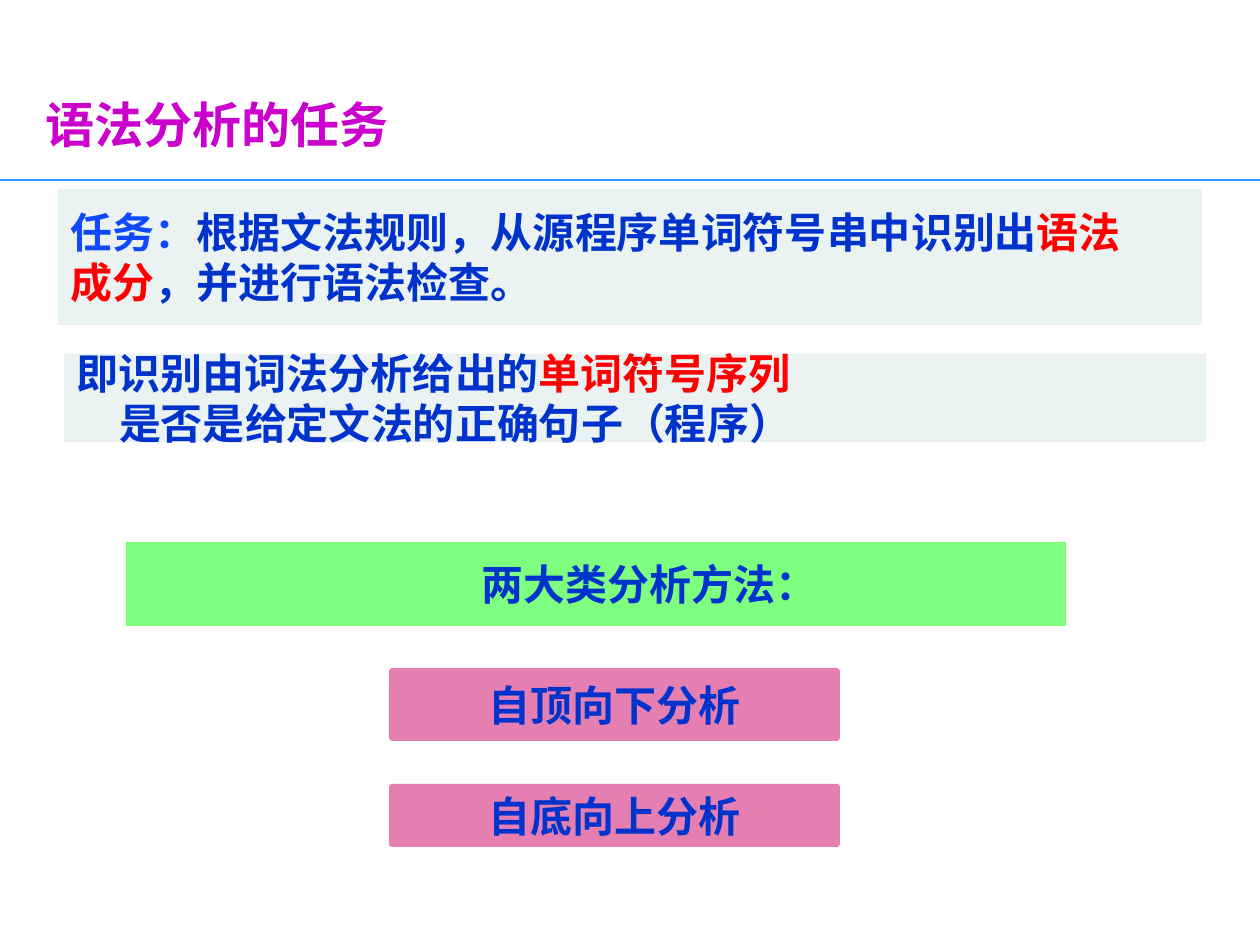
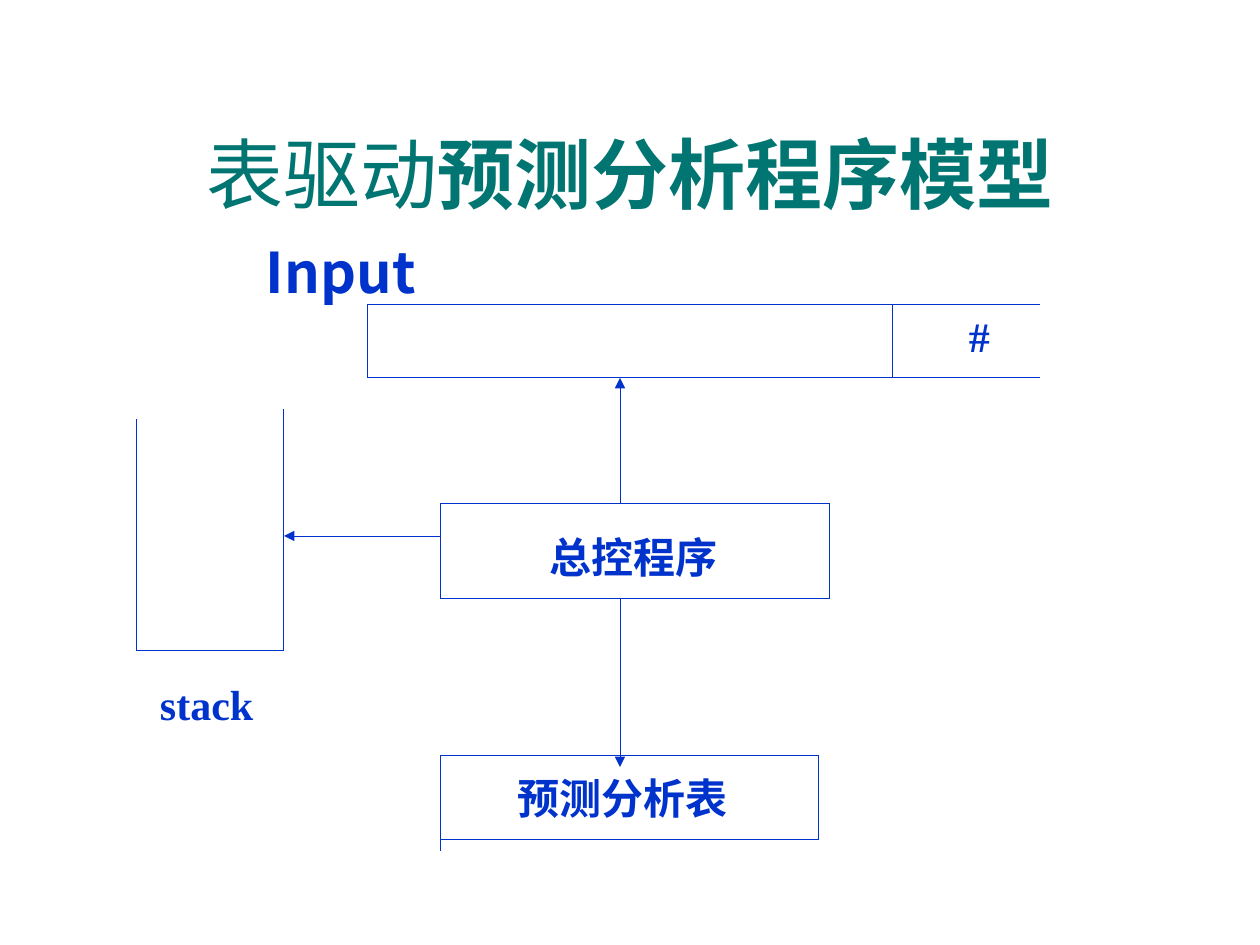
from itertools import pairwise

from lxml import etree
from pptx import Presentation
from pptx.dml.color import RGBColor
from pptx.enum import shapes, text
from pptx.oxml import ns
from pptx.util import Pt

PX = 7257  # EMU in one px, 126 px to the inch
COLORS = {"blue": "0033CC", "bright": "0F48FF", "red": "FF0000", "magenta": "CC00CC",
          "teal": "007572", "rule": "3399FF", "mist": "D9E6E6", "green": "00FF00",
          "rose": "CC0066"}
SERIF, SANS, CJK = "Times New Roman", "Arial", "Noto Sans CJK SC"
EAST_ASIAN = {SERIF: SANS, SANS: SANS, CJK: CJK}
LEFT, CENTER = text.PP_ALIGN.LEFT, text.PP_ALIGN.CENTER


def write(box, paragraphs, font=SERIF, size=24, color="blue", bold=True, align=LEFT,
          anchor=text.MSO_ANCHOR.MIDDLE, wrap=True, indents=(0,)):
    """Fill a shape with paragraphs, each a list of (text, format changes) spans."""
    frame = box.text_frame
    frame.auto_size = text.MSO_AUTO_SIZE.NONE
    frame.word_wrap, frame.vertical_anchor = wrap, anchor
    frame.margin_left = frame.margin_right = 13 * PX
    frame.margin_top = frame.margin_bottom = 6 * PX
    for index, spans in enumerate(paragraphs):
        para = frame.add_paragraph() if index else frame.paragraphs[0]
        para.alignment, para.space_before = align, Pt(0)
        props = para._p.get_or_add_pPr()
        props.set("marL", str(indents[index] * PX))
        props.set("indent", "0")
        etree.SubElement(props, ns.qn("a:buNone"))
        for words, changes in spans:
            style = {"font": font, "color": color, "bold": bold} | changes
            span = para.add_run()
            span.text = words
            span.font.size, span.font.bold = Pt(size), style["bold"]
            span.font.color.rgb = RGBColor.from_string(COLORS[style["color"]])
            span.font.name = style["font"]
            etree.SubElement(span._r.rPr, ns.qn("a:ea"), typeface=EAST_ASIAN[style["font"]])


def connect(page, start, end, color="blue", width=None, arrow=False):
    """Draw a straight line; without a width it is a hairline."""
    x1, y1, x2, y2 = [value * PX for value in start + end]
    line = page.shapes.add_connector(shapes.MSO_CONNECTOR.STRAIGHT, x1, y1, x2, y2)
    line._element.remove(line._element.find(ns.qn("p:style")))
    line.line.color.rgb = RGBColor.from_string(COLORS[color])
    if width:
        line.line.width = Pt(width)
    if arrow:
        etree.SubElement(line.line._get_or_add_ln(), ns.qn("a:tailEnd"), type="triangle")
    etree.SubElement(line._element.spPr, ns.qn("a:effectLst"))


deck = Presentation()
deck.slide_width, deck.slide_height = 1260 * PX, 945 * PX

# Slide 1: the task of syntax analysis
page = deck.slides.add_slide(deck.slide_layouts[5])
title = page.shapes.title
title.left, title.top, title.width, title.height = 33 * PX, 70 * PX, 775 * PX, 108 * PX
write(title, [[("语法分析的任务", {})]], font=CJK, size=28, color="magenta")
connect(page, (0, 180), (1260, 180), color="rule", width=1)

red = {"color": "red"}
task = [[("任务：", {"color": "bright"}), ("根据文法规则，从源程序单词符号串中识别出", {}), ("语法", red)],
        [("成分", red), ("，并进行语法检查。", {})]]
meaning = [[("即识别由词法分析给出的", {}), ("单词符号序列", red)],
           [("是否是给定文法的正确句子（程序）", {})]]
RECT, ROUND = shapes.MSO_SHAPE.RECTANGLE, shapes.MSO_SHAPE.ROUNDED_RECTANGLE
panels = [
    (RECT, (58, 189, 1144, 136), "mist", task, LEFT, (0, 0)),
    (RECT, (64, 354, 1142, 88), "mist", meaning, LEFT, (0, 42)),
    (RECT, (126, 542, 940, 84), "green", [[("两大类分析方法：", {})]], CENTER, (106,)),
    (ROUND, (389, 668, 451, 73), "rose", [[("自顶向下分析", {})]], CENTER, (0,)),
    (ROUND, (389, 784, 451, 63), "rose", [[("自底向上分析", {})]], CENTER, (0,)),
]
for kind, place, fill, paragraphs, align, indents in panels:
    panel = page.shapes.add_shape(kind, *[value * PX for value in place])
    panel.shadow.inherit = False
    panel.line.fill.background()
    panel.fill.solid()
    panel.fill.fore_color.rgb = RGBColor.from_string(COLORS[fill])
    tint = panel._element.spPr.find(".//" + ns.qn("a:srgbClr"))
    etree.SubElement(tint, ns.qn("a:alpha"), val="50000")
    if kind == ROUND:
        panel.adjustments[0] = 0.05
    write(panel, paragraphs, align=align, indents=indents)

# Slide 2: the table-driven predictive parser
page = deck.slides.add_slide(deck.slide_layouts[1])
title, body = page.placeholders
title.left, title.top, title.width, title.height = 42 * PX, 94 * PX, 1177 * PX, 158 * PX
write(title, [[("表驱动", {"font": SANS, "bold": False}), ("预测分析程序模型", {})]],
      font=CJK, size=44, color="teal", align=CENTER)
body.left, body.top, body.width, body.height = 63 * PX, 231 * PX, 1126 * PX, 604 * PX
write(body, [[("Input", {})]], font=CJK, size=32, anchor=text.MSO_ANCHOR.TOP, indents=(190,))

stack = [(137, 420), (137, 651), (284, 651), (284, 410)]
tape = [(1040, 305), (368, 305), (368, 378), (1040, 378)]
tape_end = [(893, 305), (893, 378)]
control = [(441, 504), (830, 504), (830, 599), (441, 599), (441, 504)]
table = [(441, 851), (441, 756), (819, 756), (819, 840), (441, 840)]
for outline in (stack, tape, tape_end, control, table):
    for start, end in pairwise(outline):
        connect(page, start, end)

for start, end in [((620, 504), (620, 378)), ((441, 536), (284, 536)), ((620, 599), (620, 767))]:
    connect(page, start, end, arrow=True)

labels = [("#", SERIF, (956, 305, 45, 63)), ("总控程序", CJK, (537, 526, 193, 63)),
          ("预测分析表", CJK, (505, 767, 234, 63)), ("stack", SERIF, (147, 673, 118, 63))]
for words, font, place in labels:
    label = page.shapes.add_textbox(*[value * PX for value in place])
    write(label, [[(words, {})]], font=font, anchor=text.MSO_ANCHOR.TOP, wrap=False)

deck.save("out.pptx")
